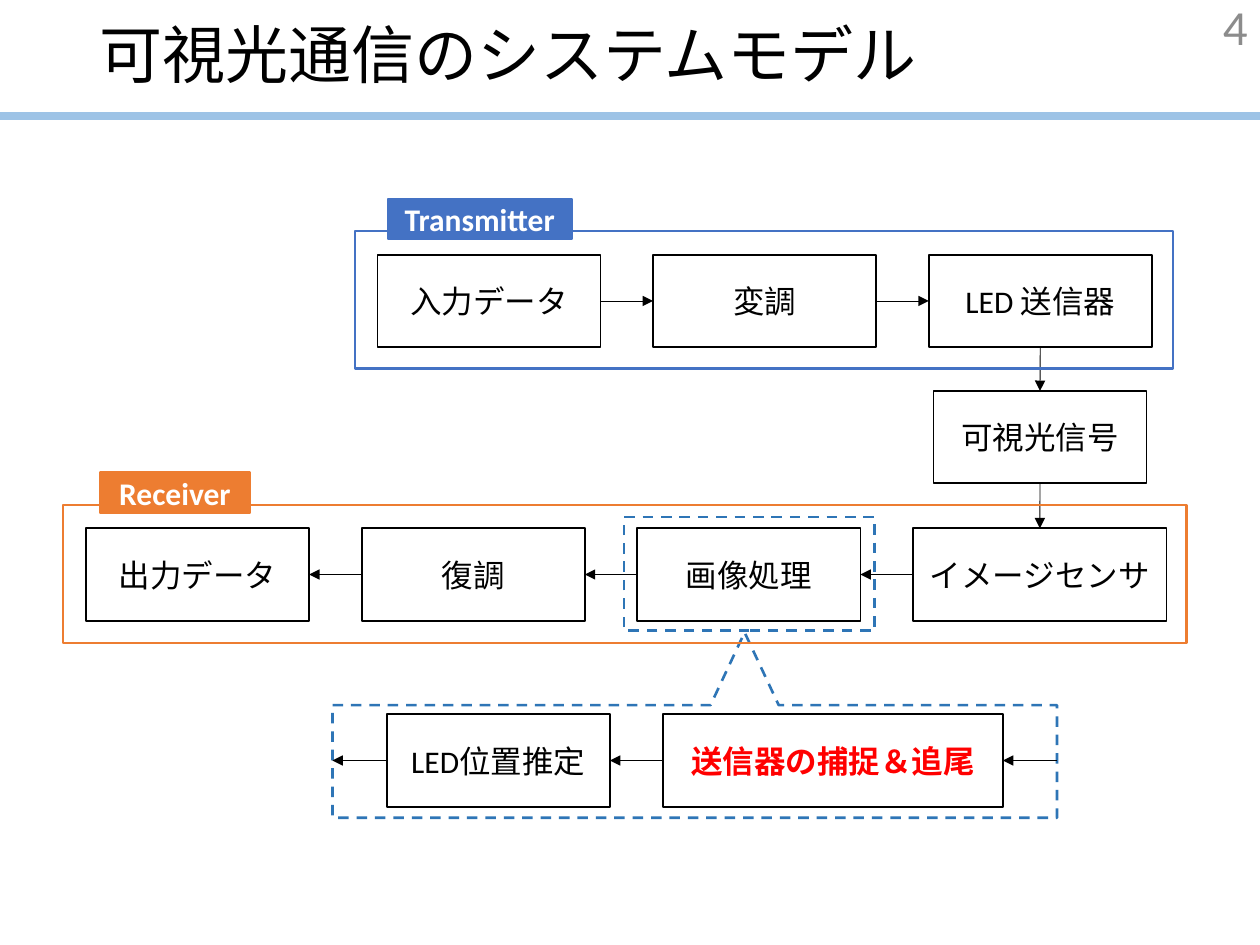
from lxml.etree import SubElement
from pptx import Presentation
from pptx.dml.color import RGBColor
from pptx.enum.dml import MSO_LINE_DASH_STYLE as Dash
from pptx.enum.shapes import MSO_CONNECTOR, MSO_SHAPE
from pptx.enum.text import MSO_ANCHOR as Anchor, MSO_AUTO_SIZE as AutoSize, PP_ALIGN as Align
from pptx.oxml.ns import qn
from pptx.util import Pt

BLACK, BLUE, ORANGE, DASH_BLUE = "000000", "4472C4", "ED7D31", "2E75B6"
BOX_WIDTH, BOX_HEIGHT, PITCH = 127.5, 52.8, 157.5
TOP, LEFT, BOTTOM, RIGHT = range(4)


def color(value):
    return RGBColor.from_string(value)


class Diagram:
    """Holds the style and the current page; all lengths are in points."""

    font = "Calibri"
    text_size = 18

    def __init__(self, page):
        self.page = page
        self.shapes = page.shapes

    def set_text(self, shape, text, size=text_size, ink=BLACK, bold=False, align=Align.CENTER):
        frame = shape.text_frame
        frame.text = text
        frame.word_wrap = True
        frame.auto_size = AutoSize.NONE
        frame.vertical_anchor = Anchor.MIDDLE
        para = frame.paragraphs[0]
        para.alignment = align
        font = para.runs[0].font
        font.name, font.size, font.bold = self.font, Pt(size), bold
        font.color.rgb = color(ink)
        return para

    def title(self, text, left, top, width, height):
        title = self.shapes.title
        title.left, title.top, title.width, title.height = map(Pt, (left, top, width, height))
        self.set_text(title, text, size=36, align=Align.LEFT).line_spacing = 0.9

    def page_number(self, text, left, top, width, height):
        box = self.shapes.add_textbox(*map(Pt, (left, top, width, height)))
        self.set_text(box, text, size=28, ink="8C8C8C", align=Align.RIGHT)

    def outline(self, shape, ink, weight, fill=None, dashed=False):
        shape.shadow.inherit = False
        shape.line.color.rgb = color(ink)
        shape.line.width = Pt(weight)
        if dashed:
            shape.line.dash_style = Dash.DASH
        if fill:
            shape.fill.solid()
            shape.fill.fore_color.rgb = color(fill)
        else:
            shape.fill.background()

    def frame(self, left, top, width, height, ink, weight=1.25, **style):
        shape = self.shapes.add_shape(MSO_SHAPE.RECTANGLE, *map(Pt, (left, top, width, height)))
        self.outline(shape, ink, weight, **style)
        return shape

    def box(self, text, left, top, width=BOX_WIDTH, **style):
        box = self.frame(left, top, width, BOX_HEIGHT, BLACK, weight=1)
        self.set_text(box, text, **style)
        return box

    def row(self, texts, left, top):
        return [self.box(text, left + i * PITCH, top) for i, text in enumerate(texts)]

    def label(self, text, left, top, width, fill):
        shape = self.frame(left, top, width, 23, fill, fill=fill)
        self.set_text(shape, text, ink="FFFFFF", bold=True)

    def callout(self, points):
        corners = [(Pt(x), Pt(y)) for x, y in points]
        builder = self.shapes.build_freeform(*corners[0])
        builder.add_line_segments(corners[1:], close=True)
        self.outline(builder.convert_to_shape(), DASH_BLUE, 1.5, dashed=True)

    def line(self, start=(0, 0), end=(0, 0), ink=BLACK, weight=0.5):
        line = self.shapes.add_connector(MSO_CONNECTOR.STRAIGHT, *map(Pt, (*start, *end)))
        line.line.color.rgb = color(ink)
        line.line.width = Pt(weight)
        SubElement(line._element.spPr, qn("a:effectLst"))
        return line

    def arrow(self, start=(0, 0), end=(0, 0)):
        arrow = self.line(start, end)
        outline = arrow._element.spPr.find(qn("a:ln"))
        SubElement(outline, qn("a:tailEnd"), type="triangle")
        return arrow

    def link(self, source, target, exit_side, entry_side):
        """Draw an arrow glued to one side of each box."""
        arrow = self.arrow()
        arrow.begin_connect(source, exit_side)
        arrow.end_connect(target, entry_side)


def main():
    deck = Presentation()
    deck.slide_width, deck.slide_height = Pt(720), Pt(540)
    diagram = Diagram(deck.slides.add_slide(deck.slide_layouts[5]))

    diagram.line((0, 66.2), (720, 66.2), "9DC3E6", 4.5)
    diagram.title("可視光通信のシステムモデル", 49.7, 0, 620.6, 66.2)
    diagram.page_number("4", 558, 0.7, 162, 28.8)

    source, modulation, led = diagram.row(["入力データ", "変調", "LED 送信器"], 215.7, 145.6)
    signal = diagram.box("可視光信号", 533.4, 223.4, 121.8)
    output, demodulation, processing = diagram.row(["出力データ", "復調", "画像処理"], 49.2, 301.9)
    sensor = diagram.box("イメージセンサ", 521.8, 301.9, 144.8)

    diagram.frame(356.6, 295.4, 143.2, 65, DASH_BLUE, 1.5, dashed=True)
    left, right, top, bottom, tip = 190, 604, 403, 467.3, 425.5
    diagram.callout([(left, top), (tip - 19.5, top), (tip, 361.4), (tip + 19.5, top),
                     (right, top), (right, bottom), (left, bottom)])
    position = diagram.box("LED位置推定", 221, 408.2)
    tracking = diagram.box("送信器の捕捉＆追尾", 378.7, 408.2, 194.4, ink="FF0000", bold=True)

    for start, end in [(source, modulation), (modulation, led)]:
        diagram.link(start, end, RIGHT, LEFT)
    for start, end in [(led, signal), (signal, sensor)]:
        diagram.link(start, end, BOTTOM, TOP)
    for start, end in [(sensor, processing), (processing, demodulation),
                       (demodulation, output), (tracking, position)]:
        diagram.link(start, end, LEFT, RIGHT)
    middle = 408.2 + BOX_HEIGHT / 2
    diagram.arrow((right, middle), (573.1, middle))
    diagram.arrow((221, middle), (left, middle))

    diagram.frame(202.8, 132, 467.5, 78.6, BLUE)
    diagram.frame(35.8, 288.7, 642.2, 78.6, ORANGE)
    diagram.label("Receiver", 57, 270, 86, ORANGE)
    diagram.label("Transmitter", 221.7, 113.8, 105, BLUE)

    deck.save("out.pptx")


if __name__ == "__main__":
    main()
